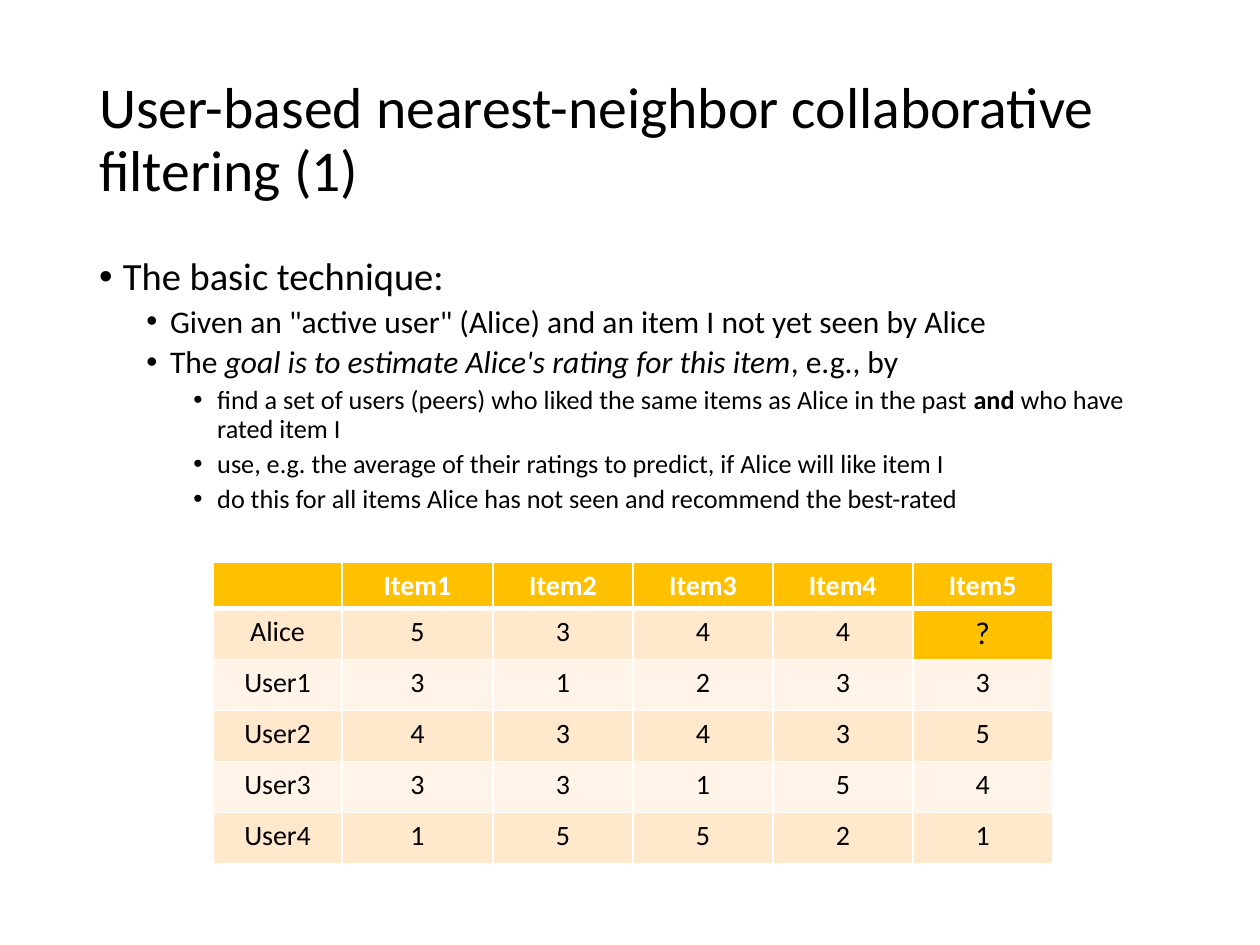
from dataclasses import dataclass

from lxml.etree import SubElement
from pptx import Presentation
from pptx.dml.color import RGBColor
from pptx.enum.text import MSO_ANCHOR, PP_ALIGN
from pptx.oxml.ns import qn
from pptx.util import Cm, Pt

FONT = "Calibri"
BLACK, WHITE, AMBER = "000000", "FFFFFF", "FFC000"
BANDS = ("FFE8CC", "FFF4E7")
HEADER_HEIGHT, ROW_HEIGHT = 0.93, 1.03
COLUMN_WIDTHS = (2.59, 3.05, 2.82, 2.82, 2.82, 2.82)
INDENT_STEP, HANGING = 0.95, 0.48


@dataclass
class Span:
    text: str
    style: str = ""


@dataclass
class Bullet:
    level: int
    spans: list[Span]


BULLET_SIZES = (22, 18, 15)
BULLETS = [
    Bullet(0, [Span("The basic technique:")]),
    Bullet(1, [Span('Given an "active user" (Alice) and an item I not yet seen by Alice')]),
    Bullet(1, [Span("The "),
               Span("goal is to estimate Alice's rating for this item", "italic"),
               Span(", e.g., by")]),
    Bullet(2, [Span("find a set of users (peers) who liked the same items as Alice in the past "),
               Span("and ", "bold"),
               Span("who have rated item I")]),
    Bullet(2, [Span("use, e.g. the average of their ratings to predict, if Alice will like item I")]),
    Bullet(2, [Span("do this for all items Alice has not seen and recommend the best-rated")]),
]
RATINGS = [
    ["", "Item1", "Item2", "Item3", "Item4", "Item5"],
    ["Alice", "5", "3", "4", "4", "?"],
    ["User1", "3", "1", "2", "3", "3"],
    ["User2", "4", "3", "4", "3", "5"],
    ["User3", "3", "3", "1", "5", "4"],
    ["User4", "1", "5", "5", "2", "1"],
]


def color(value: str) -> RGBColor:
    return RGBColor.from_string(value)


def add_span(para, text: str, size: float, ink: str = BLACK, **extra) -> None:
    span = para.add_run()
    span.text = text
    formats = {"name": FONT, "size": Pt(size), "bold": False, "italic": False} | extra
    for name, value in formats.items():
        setattr(span.font, name, value)
    span.font.color.rgb = color(ink)


def add_box(page, left: float, top: float, width: float, height: float, anchor):
    frame = page.shapes.add_textbox(Cm(left), Cm(top), Cm(width), Cm(height)).text_frame
    frame.word_wrap = True
    frame.vertical_anchor = anchor
    return frame


def add_title(page, text: str) -> None:
    para = add_box(page, 1.75, 1.01, 21.9, 3.68, MSO_ANCHOR.MIDDLE).paragraphs[0]
    para.line_spacing = 0.9
    add_span(para, text, 33)


def add_bullets(page, bullets: list[Bullet]) -> None:
    frame = add_box(page, 1.75, 5.07, 21.9, 12.09, MSO_ANCHOR.TOP)
    for index, bullet in enumerate(bullets):
        para = frame.add_paragraph() if index else frame.paragraphs[0]
        para.level = bullet.level
        para.line_spacing = 0.9
        para.space_before = Pt(3.8 if bullet.level else 7.5)
        properties = para._p.get_or_add_pPr()
        properties.set("marL", str(Cm(HANGING + INDENT_STEP * bullet.level)))
        properties.set("indent", str(-Cm(HANGING)))
        SubElement(properties, qn("a:buFont"), typeface="Arial")
        SubElement(properties, qn("a:buChar"), char="•")
        for span in bullet.spans:
            extra = {span.style: True} if span.style else {}
            add_span(para, span.text, BULLET_SIZES[bullet.level], **extra)


def set_borders(cell, **widths: float) -> None:
    """Draw white borders; widths in points are keyed by L, R, T and B."""
    properties = cell._tc.get_or_add_tcPr()
    for side, width in widths.items():
        line = SubElement(properties, qn(f"a:ln{side}"), w=str(Pt(width)))
        SubElement(SubElement(line, qn("a:solidFill")), qn("a:srgbClr"), val=WHITE)


def fill_cell(cell, text: str, row: int) -> None:
    header, unknown = row == 0, text == "?"
    set_borders(cell, L=1, R=1, T=3 if row == 1 else 1, B=3 if header else 1)
    cell.fill.solid()
    cell.fill.fore_color.rgb = color(AMBER if header or unknown else BANDS[(row - 1) % 2])
    if not text:
        cell.margin_top = cell.margin_bottom = 0
        return
    para = cell.text_frame.paragraphs[0]
    para.alignment = PP_ALIGN.CENTER
    add_span(para, text, 18 if unknown else 16, WHITE if header else BLACK, bold=header)


def add_ratings(page, ratings: list[list[str]]) -> None:
    height = HEADER_HEIGHT + ROW_HEIGHT * (len(ratings) - 1)
    table = page.shapes.add_table(len(ratings), len(COLUMN_WIDTHS), Cm(4.3), Cm(11.33),
                                  Cm(sum(COLUMN_WIDTHS)), Cm(height)).table
    for column, width in zip(table.columns, COLUMN_WIDTHS):
        column.width = Cm(width)
    for row, values in enumerate(ratings):
        table.rows[row].height = Cm(ROW_HEIGHT if row else HEADER_HEIGHT)
        for column, text in enumerate(values):
            fill_cell(table.cell(row, column), text, row)


def main() -> None:
    deck = Presentation()
    deck.slide_width, deck.slide_height = Cm(25.4), Cm(19.05)
    page = deck.slides.add_slide(deck.slide_layouts[6])
    add_title(page, "User-based nearest-neighbor collaborative filtering (1)")
    add_bullets(page, BULLETS)
    add_ratings(page, RATINGS)
    deck.save("out.pptx")


if __name__ == "__main__":
    main()
